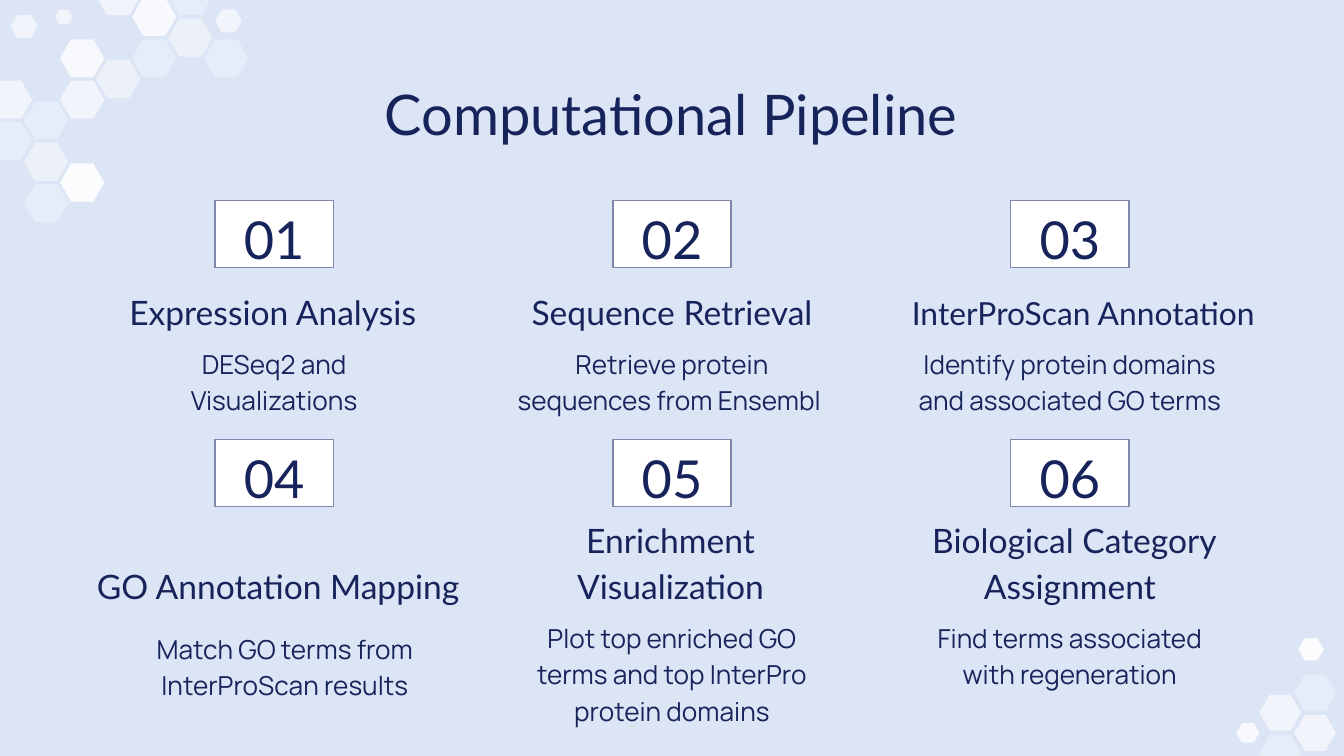
from lxml.etree import SubElement
from pptx import Presentation
from pptx.dml.color import RGBColor
from pptx.enum.shapes import MSO_SHAPE as Shape
from pptx.enum.text import MSO_ANCHOR as Anchor, PP_ALIGN as Align
from pptx.oxml.ns import qn
from pptx.util import Inches, Pt

NAVY = RGBColor(0x17, 0x23, 0x5B)
PALE_BLUE = RGBColor(0xDC, 0xE5, 0xF5)
BORDER = RGBColor(0x7F, 0x87, 0xAC)
WHITE = RGBColor(0xFF, 0xFF, 0xFF)

TITLE = {"name": "Lato", "size": Pt(30)}
NUMBER = {"name": "Lato", "size": Pt(28)}
HEADING = {"name": "Lato", "size": Pt(18)}
LONG_HEADING = {"name": "Lato", "size": Pt(17)}
BODY = {"name": "Manrope", "size": Pt(14)}

deck = Presentation()
deck.slide_width = Inches(10)
deck.slide_height = deck.slide_width * 9 // 16
page = deck.slides.add_slide(deck.slide_layouts[6])
page.background.fill.solid()
page.background.fill.fore_color.rgb = PALE_BLUE


def add_hexagon(left, top, width, opacity):
    """Draw a white hexagon; opacity is in percent."""
    hexagon = page.shapes.add_shape(
        Shape.HEXAGON, Inches(left), Inches(top), Inches(width), Inches(0.86 * width))
    hexagon.adjustments[0] = 0.29
    hexagon.shadow.inherit = False
    hexagon.line.fill.background()
    hexagon.fill.solid()
    hexagon.fill.fore_color.rgb = WHITE
    color = hexagon.fill._xPr.find(qn("a:solidFill"))[0]
    SubElement(color, qn("a:alpha")).set("val", str(opacity * 1000))


def write(box, text, font, anchor=Anchor.TOP, spacing=1.15):
    """Fill a box with one centred navy paragraph."""
    frame = box.text_frame
    margins = dict.fromkeys(
        ("margin_left", "margin_right", "margin_top", "margin_bottom"), Inches(0.1))
    for name, value in {**margins, "word_wrap": True, "vertical_anchor": anchor}.items():
        setattr(frame, name, value)
    para = frame.paragraphs[0]
    para.alignment, para.line_spacing = Align.CENTER, spacing
    span = para.add_run()
    span.text = text
    for name, value in font.items():
        setattr(span.font, name, value)
    span.font.color.rgb = NAVY


# Honeycombs: origin, column pitch, row pitch, cell width, then (column, row, opacity)
honeycombs = [
    (-0.09, -0.17, 1.61 / 6, 1.54 / 10, 0.33, [
        (2, 5, 60), (0, 5, 60), (3, 0, 60), (1, 8, 48), (3, 4, 48), (5, 2, 48),
        (2, 3, 80), (4, 1, 80), (1, 10, 30), (2, 9, 90), (1, 6, 30), (0, 7, 30),
        (6, 3, 30), (4, 3, 30), (5, 0, 30)]),
    (9.37, 5.02, 0.26, 0.15, 0.31, [
        (0, 3, 33), (1, 2, 60), (0, 1, 60), (1, 0, 33)]),
]
for left, top, column_pitch, row_pitch, width, cells in honeycombs:
    for column, row, opacity in cells:
        add_hexagon(left + column * column_pitch, top + row * row_pitch, width, opacity)

loose_hexagons = [
    (0.41, 0.07, 0.13, 60), (0.08, 0.11, 0.2, 60), (1.6, 0.07, 0.2, 60),
    (9.66, 4.75, 0.19, 90), (9.2, 5.38, 0.17, 80),
]
for hexagon in loose_hexagons:
    add_hexagon(*hexagon)

title = page.shapes.add_textbox(Inches(0.78), Inches(0.49), Inches(8.43), Inches(0.63))
write(title, "Computational Pipeline", TITLE, spacing=1)

# Heading, its font, width and shift from the column centre; body, its shifts and height
steps = [
    ("Expression Analysis", HEADING, 2.76, -0.01,
     "DESeq2 and Visualizations", 0, 0, 0.63),
    ("Sequence Retrieval", HEADING, 2.52, 0,
     "Retrieve protein sequences from Ensembl ", 0, 0, 0.81),
    ("InterProScan Annotation", LONG_HEADING, 3.32, 0.1,
     "Identify protein domains and associated GO terms", 0, 0, 0.63),
    ("GO Annotation Mapping", HEADING, 2.93, 0.03,
     "Match GO terms from InterProScan results", 0.08, 0.08, 0.63),
    ("Enrichment Visualization", HEADING, 2.76, -0.01,
     "Plot top enriched GO terms and top InterPro protein domains", 0, 0, 0.63),
    (" Biological Category Assignment", HEADING, 2.52, 0,
     "Find terms associated with regeneration", 0, 0, 0.63),
]
COLUMNS = 3
FIRST_CENTER, COLUMN_PITCH = 2.04, 2.96
ROW_TOPS = [(1.49, 2.15, 2.46), (3.27, 4.19, 4.5)]  # number, heading, body

for index, (heading, font, width, shift, body, body_dx, body_dy, height) in enumerate(steps):
    row, column = divmod(index, COLUMNS)
    center = FIRST_CENTER + column * COLUMN_PITCH
    number_top, heading_top, body_top = ROW_TOPS[row]

    badge = page.shapes.add_shape(
        Shape.RECTANGLE, Inches(center - 0.44), Inches(number_top), Inches(0.88), Inches(0.5))
    badge.shadow.inherit = False
    badge.fill.solid()
    badge.fill.fore_color.rgb = WHITE
    badge.line.color.rgb = BORDER
    badge.line.width = Pt(0.75)
    write(badge, f"{index + 1:02}", NUMBER, Anchor.MIDDLE)

    box = page.shapes.add_textbox(
        Inches(center + shift - width / 2), Inches(heading_top), Inches(width), Inches(0.42))
    write(box, heading, font, Anchor.BOTTOM)

    box = page.shapes.add_textbox(
        Inches(center + body_dx - 1.26), Inches(body_top + body_dy), Inches(2.52), Inches(height))
    write(box, body, BODY)

deck.save("out.pptx")
